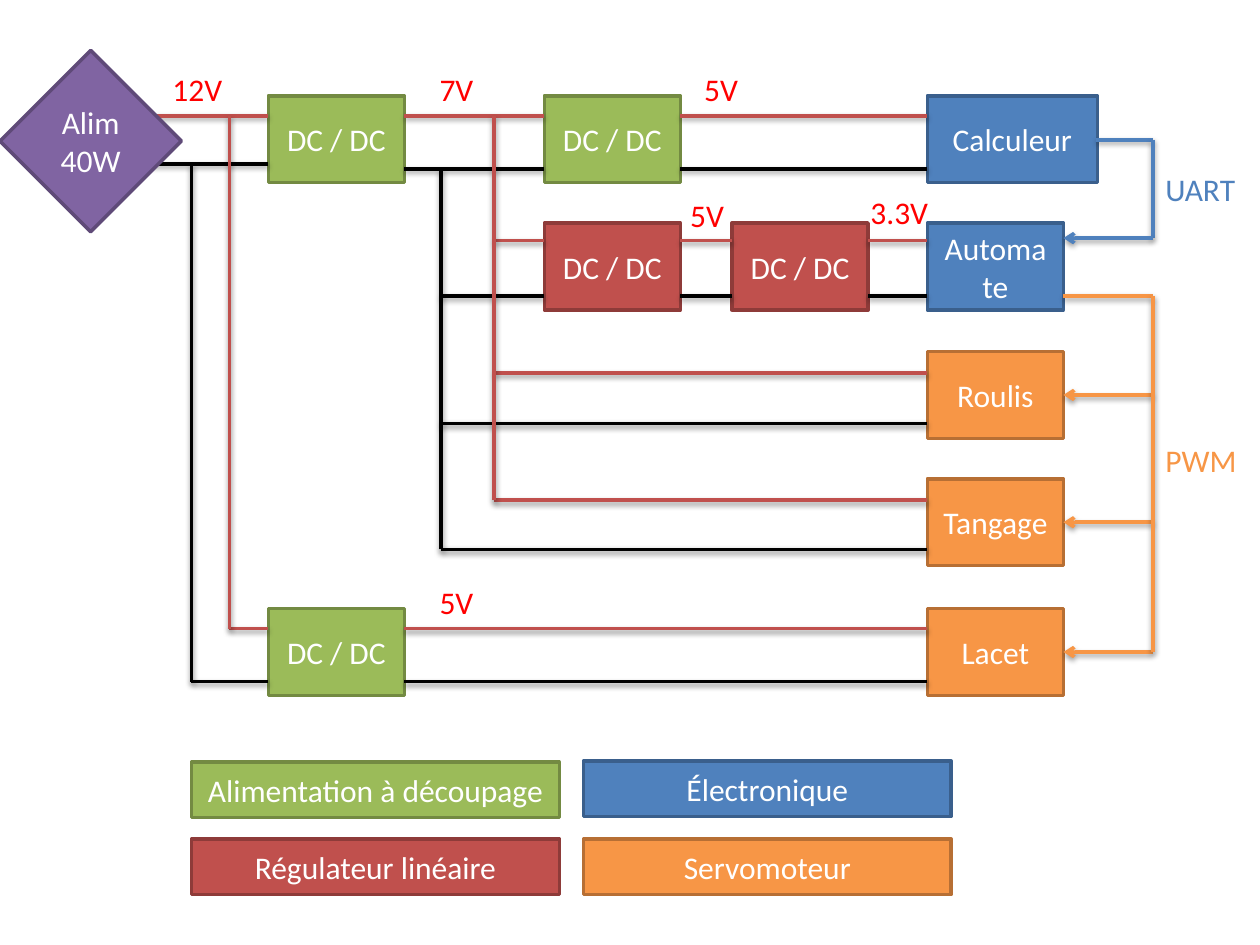
from lxml import etree
from pptx import Presentation
from pptx import util as u
from pptx.dml.color import RGBColor
from pptx.enum import shapes, text
from pptx.oxml import ns

COLORS = {
    "switching": "9BBB59", "switching edge": "738A42",
    "linear": "C0504D", "linear edge": "8E3B39",
    "electronics": "4F81BD", "electronics edge": "3A5F8C",
    "servo": "F79646", "servo edge": "B76F34",
    "source": "8064A2", "source edge": "5F4A78",
    "live": "C0504D", "ground": "000000",
    "voltage": "FF0000", "white": "FFFFFF",
}
# Left edges of the block columns and top edges of the block rows, in inches
COLUMNS = {"first": 2.13, "second": 4.32, "third": 5.81, "load": 7.36}
ROWS = [0.76, 1.77, 2.79, 3.8, 4.83]
BLOCK_WIDTH, BLOCK_HEIGHT = 1.08, 0.69
RIGHT = {name: left + BLOCK_WIDTH for name, left in COLUMNS.items()}
# Heights of the wires that enter each row
LIVE = [0.92, 1.91, 2.96, 3.97, 4.99]
GROUND = [1.34, 2.35, 3.36, 4.36, 5.41]
SOURCE_GROUND = 1.3


def rgb(name):
    return RGBColor.from_string(COLORS[name])


def write(shape, content, color="white", size=18, align=None, anchor=None):
    frame = shape.text_frame
    frame.word_wrap = True
    frame.text = content
    if anchor is not None:
        frame.vertical_anchor = anchor
    for paragraph in frame.paragraphs:
        paragraph.alignment = align
        font = paragraph.font
        font.name, font.size = "Calibri", u.Pt(size)
        font.color.rgb = rgb(color)


def add_block(slide, box, content, kind, outline=shapes.MSO_SHAPE.RECTANGLE):
    shape = slide.shapes.add_shape(outline, *map(u.Inches, box))
    shape.shadow.inherit = False
    shape.fill.solid()
    shape.fill.fore_color.rgb = rgb(kind)
    shape.line.color.rgb = rgb(kind + " edge")
    shape.line.width = u.Pt(2)
    write(shape, content, align=text.PP_ALIGN.CENTER,
          anchor=text.MSO_ANCHOR.MIDDLE)


def add_label(slide, left, top, content, color="voltage", width=0.64):
    label = slide.shapes.add_textbox(*map(u.Inches, (left, top, width, 0.4)))
    write(label, content, color=color)


def add_wire(slide, start, end, color, arrow=False):
    wire = slide.shapes.add_connector(
        shapes.MSO_CONNECTOR.STRAIGHT, *map(u.Inches, (*start, *end)))
    wire.line.color.rgb = rgb(color)
    wire.line.width = u.Pt(2)
    properties = wire.element.spPr
    if arrow:
        line = properties.find(ns.qn("a:ln"))
        etree.SubElement(line, ns.qn("a:tailEnd"), type="arrow")
    effects = etree.SubElement(properties, ns.qn("a:effectLst"))
    shadow = etree.SubElement(
        effects, ns.qn("a:outerShdw"), blurRad=str(u.Pt(3.1)),
        dist=str(u.Pt(1.6)), dir="5400000", rotWithShape="0")
    black = etree.SubElement(shadow, ns.qn("a:srgbClr"), val="000000")
    etree.SubElement(black, ns.qn("a:alpha"), val="38000")


def add_blocks(slide):
    converter = "DC / DC"
    blocks = [
        ("first", 0, converter, "switching"),
        ("first", 4, converter, "switching"),
        ("second", 0, converter, "switching"),
        ("second", 1, converter, "linear"),
        ("third", 1, converter, "linear"),
        ("load", 1, "Automate", "electronics"),
        ("load", 0, "Calculeur", "electronics"),
        ("load", 2, "Roulis", "servo"),
        ("load", 3, "Tangage", "servo"),
        ("load", 4, "Lacet", "servo"),
    ]
    for column, row, content, kind in blocks:
        width = 1.35 if content == "Calculeur" else BLOCK_WIDTH
        add_block(slide, (COLUMNS[column], ROWS[row], width, BLOCK_HEIGHT),
                  content, kind)


def add_power_net(slide, color, levels, source_level, inner_bus, outer_bus):
    """Draw one polarity: its two vertical buses and the wires of each row."""
    first, second, third, load = COLUMNS.values()
    spans = [
        (0, RIGHT["first"], second), (0, RIGHT["second"], load),
        (1, inner_bus, second), (1, RIGHT["second"], third),
        (1, RIGHT["third"], load),
        (2, inner_bus, load), (3, inner_bus, load),
        (4, outer_bus, first), (4, RIGHT["first"], load),
    ]
    for row, left, right in spans:
        add_wire(slide, (left, levels[row]), (right, levels[row]), color)
    add_wire(slide, (1.02, source_level), (first, source_level), color)
    add_wire(slide, (inner_bus, levels[3]), (inner_bus, levels[0]), color)
    add_wire(slide, (outer_bus, levels[4]), (outer_bus, source_level), color)


def add_voltages(slide):
    for left, top, content in [
        (3.39, 0.51, "7V"), (5.49, 0.51, "5V"),
        (5.38, 1.51, "5V"), (3.39, 4.58, "5V"),
    ]:
        add_label(slide, left, top, content)
    add_label(slide, 1.27, 0.51, "12V", width=0.85)
    add_label(slide, 6.81, 1.48, "3.3V", width=0.86)


def add_signals(slide, bus):
    edge = RIGHT["load"]
    servo_levels = [top + BLOCK_HEIGHT / 2 for top in ROWS[2:]]
    for level in servo_levels:
        add_wire(slide, (bus, level), (edge, level), "servo", arrow=True)
    add_wire(slide, (edge, GROUND[1]), (bus, GROUND[1]), "servo")
    add_wire(slide, (bus, servo_levels[-1]), (bus, GROUND[1]), "servo")
    add_label(slide, bus, 3.45, "PWM", color="servo", width=0.98)

    top, bottom = 1.11, 1.89
    add_wire(slide, (8.7, top), (bus, top), "electronics")
    add_wire(slide, (bus, top), (bus, bottom), "electronics")
    add_wire(slide, (bus, bottom), (edge, bottom), "electronics", arrow=True)
    add_label(slide, bus, 1.3, "UART", color="electronics", width=1.06)


def add_legend(slide, left, top):
    entries = [
        (0, 0.01, "Alimentation à découpage", "switching"),
        (0, 0.62, "Régulateur linéaire", "linear"),
        (1, 0, "Électronique", "electronics"),
        (1, 0.62, "Servomoteur", "servo"),
    ]
    for column, offset, content, kind in entries:
        add_block(slide, (left + column * 3.11, top + offset, 2.92, 0.44),
                  content, kind)


def main():
    presentation = Presentation()
    presentation.slide_width = u.Inches(10)
    presentation.slide_height = u.Inches(7.5)
    slide = presentation.slides.add_slide(presentation.slide_layouts[6])
    add_blocks(slide)
    add_power_net(slide, "ground", GROUND, SOURCE_GROUND,
                  inner_bus=3.5, outer_bus=1.52)
    add_power_net(slide, "live", LIVE, LIVE[0], inner_bus=3.92, outer_bus=1.82)
    add_voltages(slide)
    add_signals(slide, bus=9.15)
    add_legend(slide, left=1.52, top=6.04)
    add_block(slide, (0, 0.4, 1.44, 1.44), "Alim\n40W", "source",
              outline=shapes.MSO_SHAPE.DIAMOND)
    presentation.save("out.pptx")


if __name__ == "__main__":
    main()
